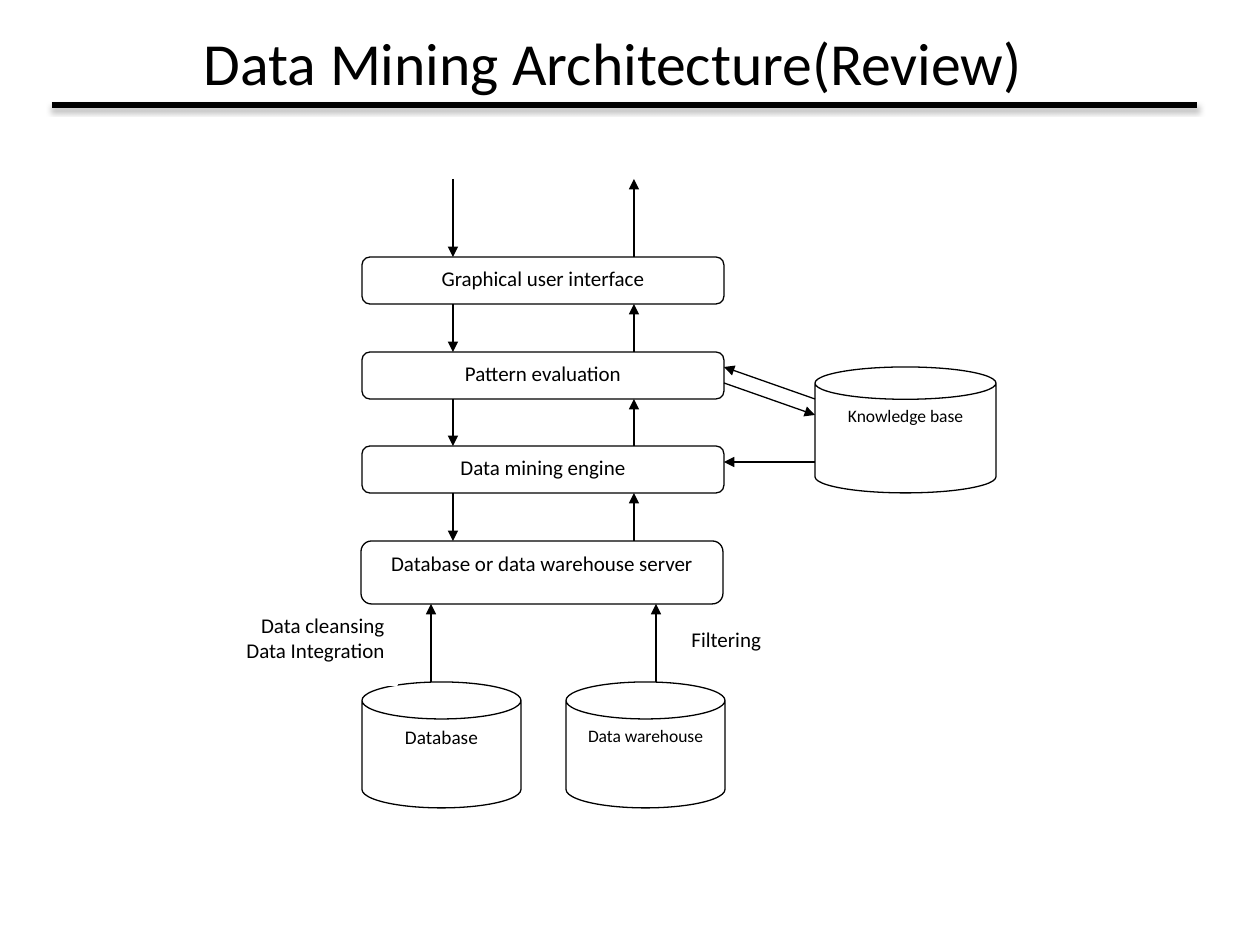
from dataclasses import dataclass

from lxml import etree
from pptx import Presentation
from pptx import util as u
from pptx.dml.color import RGBColor
from pptx.enum import shapes, text
from pptx.oxml import ns

EMU_PER_PIXEL = 914400 / 126
BLACK = RGBColor(0, 0, 0)
WHITE = RGBColor(255, 255, 255)
FONT = "Calibri"
CENTER = text.PP_ALIGN.CENTER


@dataclass
class Node:
    """A labelled preset shape, measured in pixels."""
    lines: list[str]
    left: int
    top: int
    width: int
    height: int
    kind: shapes.MSO_SHAPE = shapes.MSO_SHAPE.ROUNDED_RECTANGLE
    adjustment: float | None = 0.167
    size: int = 12
    outline: RGBColor = BLACK
    align: text.PP_ALIGN = CENTER

    @property
    def bottom(self) -> int:
        """Return the lower edge."""
        return self.top + self.height


@dataclass
class Arrow:
    """A straight arrow with its head at the end point."""
    start: tuple[int, int]
    end: tuple[int, int]


def px(pixels: float) -> u.Emu:
    """Turn pixels into EMU."""
    return u.Emu(round(pixels * EMU_PER_PIXEL))


def add_run(paragraph, words: str, size: float) -> None:
    """Add one formatted run to a paragraph."""
    run = paragraph.add_run()
    run.text = words
    run.font.name = FONT
    run.font.size = u.Pt(size)
    run.font.color.rgb = BLACK


def draw_node(slide, node: Node) -> None:
    """Draw a shape with its label at the top."""
    shape = slide.shapes.add_shape(
        node.kind, px(node.left), px(node.top), px(node.width), px(node.height))
    shape.shadow.inherit = False
    if node.adjustment is not None:
        shape.adjustments[0] = node.adjustment
    shape.fill.solid()
    shape.fill.fore_color.rgb = WHITE
    shape.line.color.rgb = node.outline
    shape.line.width = u.Pt(0.75)
    frame = shape.text_frame
    frame.word_wrap = True
    frame.vertical_anchor = text.MSO_ANCHOR.TOP
    for index, words in enumerate(node.lines):
        paragraph = frame.add_paragraph() if index else frame.paragraphs[0]
        paragraph.alignment = node.align
        add_run(paragraph, words, node.size)


def draw_line(slide, start: tuple[int, int], end: tuple[int, int], width: float):
    """Draw a black line and return it with its empty effect list."""
    line = slide.shapes.add_connector(
        shapes.MSO_CONNECTOR.STRAIGHT, *map(px, start + end))
    line.line.color.rgb = BLACK
    line.line.width = u.Pt(width)
    effects = etree.SubElement(line._element.spPr, ns.qn("a:effectLst"))
    return line, effects


def draw_arrow(slide, arrow: Arrow) -> None:
    """Draw a thin line ending in a triangle."""
    line, _ = draw_line(slide, arrow.start, arrow.end, 0.75)
    etree.SubElement(line.line._get_or_add_ln(), ns.qn("a:tailEnd"), type="triangle")


def draw_title(slide, words: str) -> None:
    """Format the title placeholder and draw the shadowed rule below it."""
    title = slide.shapes.title
    title.left, title.top, title.width, title.height = map(px, (42, 32, 1142, 73))
    frame = title.text_frame
    frame.auto_size = text.MSO_AUTO_SIZE.NONE
    frame.vertical_anchor = text.MSO_ANCHOR.MIDDLE
    paragraph = frame.paragraphs[0]
    paragraph.alignment = CENTER
    paragraph.line_spacing = 0.8
    add_run(paragraph, words, 34.1)
    _, effects = draw_line(slide, (52, 105), (1197, 105), 3)
    shadow = etree.SubElement(
        effects, ns.qn("a:outerShdw"), blurRad=str(u.Pt(3.1)),
        dist=str(u.Pt(1.8)), dir="5400000", rotWithShape="0")
    color = etree.SubElement(shadow, ns.qn("a:srgbClr"), val=str(BLACK))
    etree.SubElement(color, ns.qn("a:alpha"), val="35000")


CAN = shapes.MSO_SHAPE.CAN
RECTANGLE = shapes.MSO_SHAPE.RECTANGLE
LAYERS = [
    Node(["Graphical user interface"], 362, 257, 362, 47),
    Node(["Pattern evaluation"], 362, 352, 362, 47),
    Node(["Data mining engine"], 362, 446, 362, 47),
    Node(["Database or data warehouse server"], 361, 541, 362, 63),
]
STORES = [
    Node(["Database"], 362, 682, 159, 126, CAN, 0.294, 11),
    Node(["Data warehouse"], 566, 682, 159, 126, CAN, 0.294, 10),
    Node(["Knowledge base"], 815, 367, 181, 126, CAN, 0.257, 10),
]
LABELS = [
    Node(["Filtering"], 679, 620, 181, 47, RECTANGLE, None,
         outline=WHITE, align=text.PP_ALIGN.LEFT),
    Node(["Data cleansing", "Data Integration"], 126, 606, 271, 79, RECTANGLE, None,
         outline=WHITE, align=text.PP_ALIGN.RIGHT),
]
DOWN_X, UP_X = 453, 634
KNOWLEDGE_ARROWS = [
    Arrow((724, 383), (815, 415)),
    Arrow((815, 399), (724, 367)),
    Arrow((815, 462), (724, 462)),
]


def build() -> None:
    """Build and save the slide."""
    presentation = Presentation()
    presentation.slide_width, presentation.slide_height = px(1260), px(945)
    slide = presentation.slides.add_slide(presentation.slide_layouts[5])
    draw_title(slide, "Data Mining Architecture(Review)")

    for node in LAYERS + STORES:
        draw_node(slide, node)

    gap_tops = [179] + [layer.bottom for layer in LAYERS[:-1]]
    arrows = list(KNOWLEDGE_ARROWS)
    for gap_top, layer in zip(gap_tops, LAYERS):
        arrows.append(Arrow((DOWN_X, gap_top), (DOWN_X, layer.top)))
        arrows.append(Arrow((UP_X, layer.top), (UP_X, gap_top)))
    for store, x in zip(STORES, (431, 656)):
        arrows.append(Arrow((x, store.top), (x, LAYERS[-1].bottom)))
    for arrow in arrows:
        draw_arrow(slide, arrow)

    for label in LABELS:
        draw_node(slide, label)
    presentation.save("out.pptx")


build()
